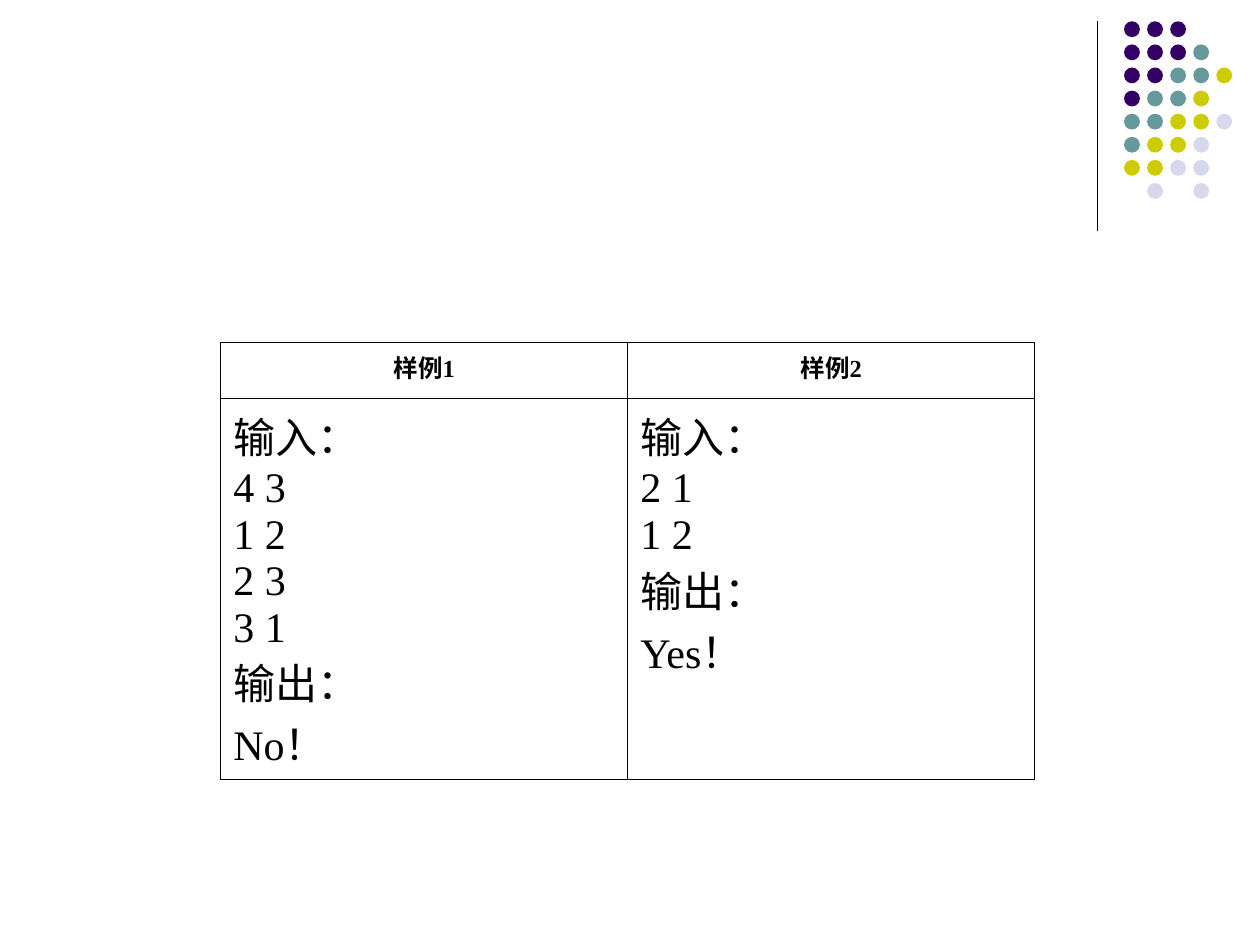
from lxml.etree import SubElement
from pptx import Presentation
from pptx.dml.color import RGBColor
from pptx.enum.shapes import MSO_CONNECTOR as Connector, MSO_SHAPE as Shape
from pptx.enum.text import PP_ALIGN as Align
from pptx.oxml import parse_xml
from pptx.oxml.ns import nsdecls, qn
from pptx.util import Cm, Pt

COLORS = {
    "ink": "000000",
    "purple": "330066",
    "teal": "669999",
    "olive": "CCCC00",
    "lilac": "D8D8EC",
}
FONT = "Times New Roman"
DOT_COLORS = {"P": "purple", "T": "teal", "O": "olive", "L": "lilac"}
DOT_ROWS = ["PPP", "PPPT", "PPTTO", "PTTO", "TTOOL", "TOOL", "OOLL", " L L"]
SAMPLES = {
    "样例1": ["输入：", "4 3", "1 2", "2 3", "3 1", "输出：", "No！"],
    "样例2": ["输入：", "2 1", "1 2", "输出：", "Yes！"],
}


def color(name):
    """Return the named colour."""
    return RGBColor.from_string(COLORS[name])


def add_rule(page, left, top, height):
    """Draw the thin vertical rule beside the dots."""
    rule = page.shapes.add_connector(
        Connector.STRAIGHT, Cm(left), Cm(top), Cm(left), Cm(top + height))
    rule.line.color.rgb = color("ink")
    rule.line.width = Pt(0.75)
    SubElement(rule._element.spPr, qn("a:effectLst"))


def add_dots(page, left, top, width, height, size=0.32):
    """Fill the given box with the grid of coloured dots."""
    group = page.shapes.add_group_shape()
    column_step = (width - size) / (max(map(len, DOT_ROWS)) - 1)
    row_step = (height - size) / (len(DOT_ROWS) - 1)
    for row, codes in enumerate(DOT_ROWS):
        for column, code in enumerate(codes):
            if code == " ":
                continue
            dot = group.shapes.add_shape(
                Shape.OVAL, Cm(left + column * column_step),
                Cm(top + row * row_step), Cm(size), Cm(size))
            dot.shadow.inherit = False
            dot.fill.solid()
            dot.fill.fore_color.rgb = color(DOT_COLORS[code])
            dot.line.fill.background()


def set_borders(cell, width=0.45):
    """Give the cell a thin line on all four sides."""
    properties = cell._tc.get_or_add_tcPr()
    for index, side in enumerate("LRTB"):
        properties.insert(index, parse_xml(
            f'<a:ln{side} {nsdecls("a")} w="{Pt(width)}"><a:solidFill>'
            f'<a:srgbClr val="{COLORS["ink"]}"/></a:solidFill></a:ln{side}>'))


def fill_cell(cell, lines, size, bold, align):
    """Write the lines into the cell, one paragraph each."""
    cell.fill.background()
    set_borders(cell)
    cell.text = "\n".join(lines)
    for para in cell.text_frame.paragraphs:
        para.alignment = align
        para.font.name = FONT
        para.font.size = Pt(size)
        para.font.bold = bold
        para.font.color.rgb = color("ink")


def add_samples(page, left, top, width, header_height, body_height):
    """Place the table with one sample in each column."""
    table = page.shapes.add_table(
        2, len(SAMPLES), Cm(left), Cm(top), Cm(width),
        Cm(header_height + body_height)).table
    table.first_row = table.horz_banding = False
    table.rows[0].height = Cm(header_height)
    table.rows[1].height = Cm(body_height)
    for column, (title, lines) in enumerate(SAMPLES.items()):
        fill_cell(table.cell(0, column), [title], 14, True, Align.CENTER)
        fill_cell(table.cell(1, column), lines, 24, False, Align.LEFT)


def main():
    """Build the slide and save the deck."""
    deck = Presentation()
    deck.slide_width, deck.slide_height = Cm(25.4), Cm(19.05)
    page = deck.slides.add_slide(deck.slide_layouts[6])
    add_rule(page, 22.12, 0.43, 4.22)
    add_dots(page, 22.66, 0.43, 2.18, 3.58)
    add_samples(page, 4.45, 6.91, 16.41, 1.12, 7.37)
    deck.save("out.pptx")


if __name__ == "__main__":
    main()
